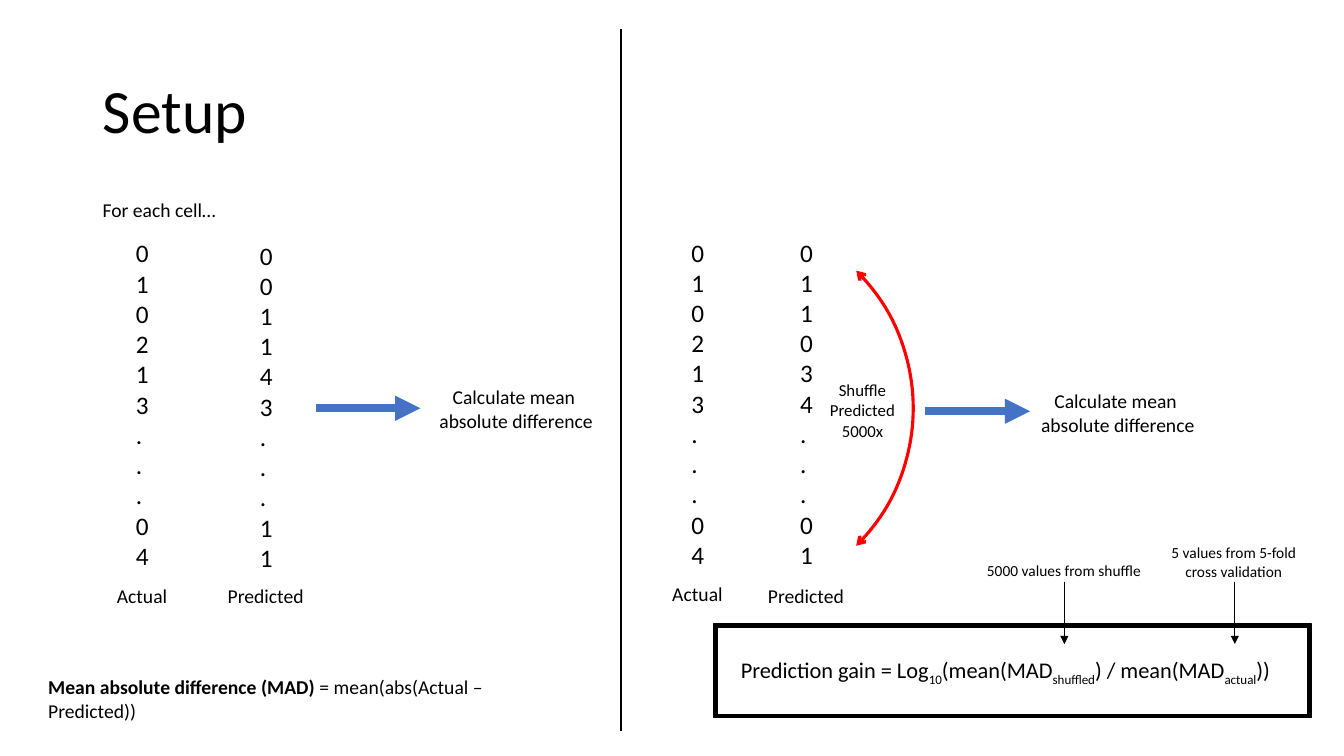
from lxml.etree import SubElement
from pptx import Presentation
from pptx.dml.color import RGBColor as RGB
from pptx.enum.shapes import MSO_CONNECTOR as CONN, MSO_SHAPE as SHAPE
from pptx.enum.text import MSO_ANCHOR as ANCHOR, PP_ALIGN as ALIGN
from pptx.oxml.ns import qn
from pptx.util import Inches, Pt

COLORS = {"text": "000000", "flow": "4472C4", "shuffle": "FF0000"}
FONT = "Calibri"
WIDTH, HEIGHT = Inches(13.333), Inches(7.5)

ACTUAL = "0 1 0 2 1 3 . . . 0 4"
PREDICTED = "0 0 1 1 4 3 . . . 1 1"
SHUFFLED = "0 1 1 0 3 4 . . . 0 1"


def color(name):
    return RGB.from_string(COLORS[name])


def place(x, y, w, h):
    """Turn percentages of the slide's size into lengths."""
    return (int(WIDTH * x / 100), int(HEIGHT * y / 100),
            int(WIDTH * w / 100), int(HEIGHT * h / 100))


def add_run(p, text, size, bold=False, baseline=0):
    r = p.add_run()
    r.text = text
    for key, value in {"name": FONT, "size": Pt(size), "bold": bold}.items():
        setattr(r.font, key, value)
    r.font.color.rgb = color("text")
    if baseline:
        r._r.get_or_add_rPr().set("baseline", str(baseline * 1000))


def add_text(slide, box, lines, size, align=ALIGN.LEFT, wrap=False):
    """Each line is a list of (text, run format) pairs or a plain string."""
    tf = slide.shapes.add_textbox(*place(*box)).text_frame
    tf.word_wrap = wrap
    for i, line in enumerate(lines):
        p = tf.paragraphs[0] if i == 0 else tf.add_paragraph()
        p.alignment = align
        for text, fmt in [(line, {})] if isinstance(line, str) else line:
            add_run(p, text, size, **fmt)


def style_line(sp, name, width, **ends):
    sp.line.color.rgb = color(name)
    sp.line.width = Pt(width)
    ln = sp.line._get_or_add_ln()
    for end, kind in ends.items():
        SubElement(ln, qn(f"a:{end}")).set("type", kind)


def add_line(slide, start, end, name, width, **ends):
    sp = slide.shapes.add_connector(CONN.STRAIGHT, *place(*start, *end))
    style_line(sp, name, width, **ends)
    SubElement(sp._element.spPr, qn("a:effectLst"))


def add_outline(slide, kind, box):
    sp = slide.shapes.add_shape(kind, *place(*box))
    sp.shadow.inherit = False
    return sp


def add_title(slide, text):
    sp = slide.shapes.title
    sp.left, sp.top, sp.width, sp.height = place(6.9, 5.33, 86.25, 19.33)
    tf = sp.text_frame
    tf.vertical_anchor = ANCHOR.MIDDLE
    p = tf.paragraphs[0]
    p.alignment, p.line_spacing = ALIGN.LEFT, 0.9
    add_run(p, text, 44)


def add_column(slide, x, y, values, label, label_box):
    add_text(slide, (x, y, 2.48, 45.73), values.split(), 18)
    add_text(slide, (*label_box, 4.53), [label], 14)


def add_step(slide, x, y, text_x, text_y):
    add_line(slide, (x, y), (x + 7.8, y), "flow", 6, tailEnd="triangle")
    add_text(slide, (text_x, text_y, 13.05, 7.6),
             ["Calculate mean ", "absolute difference"], 14, ALIGN.CENTER)


def main():
    prs = Presentation()
    prs.slide_width, prs.slide_height = WIDTH, HEIGHT
    slide = prs.slides.add_slide(prs.slide_layouts[5])
    add_title(slide, "Setup")
    add_line(slide, (46.2, 3.87), (46.2, 96.67), "text", 1)

    # Number columns with their labels
    for column in (
        (9.38, 30.8, ACTUAL, "Actual", (7.95, 76.53, 5.33)),
        (18.6, 31.07, PREDICTED, "Predicted", (16.2, 76.53, 7.28)),
        (50.7, 30.67, ACTUAL, "Actual", (49.28, 76.27, 5.33)),
        (58.8, 30.67, SHUFFLED, "Predicted", (56.4, 76.53, 7.28)),
    ):
        add_column(slide, *column)

    # Arrows to the calculation, one in each half
    add_step(slide, 23.48, 54, 31.88, 50.27)
    add_step(slide, 68.85, 54.4, 76.65, 50.8)

    # Left half: introduction and definition
    add_text(slide, (6.68, 25.47, 10.35, 4.53), ["For each cell…"], 14,
             ALIGN.CENTER)
    add_text(slide, (2.85, 88.67, 40.65, 4.53),
             [[("Mean absolute difference (MAD) ", {"bold": True}),
               ("= mean(abs(Actual – Predicted))", {})]], 14, wrap=True)

    # Right half: shuffle arc
    arc = add_outline(slide, SHAPE.ARC, (39, 28.27, 28.95, 51.47))
    arc.rotation = 45
    arc.fill.background()
    style_line(arc, "shuffle", 2.25, headEnd="arrow", tailEnd="arrow")
    add_text(slide, (60.98, 49.6, 6.38, 9.47),
             ["Shuffle", "Predicted", "5000x"], 12, ALIGN.CENTER)

    # Framed formula
    sub = {"baseline": -25}
    add_text(slide, (54.38, 86.13, 42.08, 8.93),
             [[("Prediction gain = Log", {}), ("10", sub),
               ("(mean(MAD", {}), ("shuffled", sub),
               (") / mean(MAD", {}), ("actual", sub), ("))", {})]], 16)
    frame = add_outline(slide, SHAPE.FRAME, (53.1, 82.53, 44.48, 12.4))
    frame.adjustments[0] = 0.036
    frame.fill.solid()
    frame.fill.fore_color.rgb = color("text")
    style_line(frame, "text", 1)

    # Notes pointing into the formula
    for x, box, lines in (
        (79.2, (72.6, 73.6, 13.13, 3.87), ["5000 values from shuffle"]),
        (91.88, (86.33, 71.2, 10.95, 6.27),
         ["5 values from 5-fold", "cross validation"]),
    ):
        add_line(slide, (x, 76.93), (x, 85.2), "text", 0.5,
                 tailEnd="triangle")
        add_text(slide, box, lines, 11, ALIGN.CENTER)

    prs.save("out.pptx")


if __name__ == "__main__":
    main()
